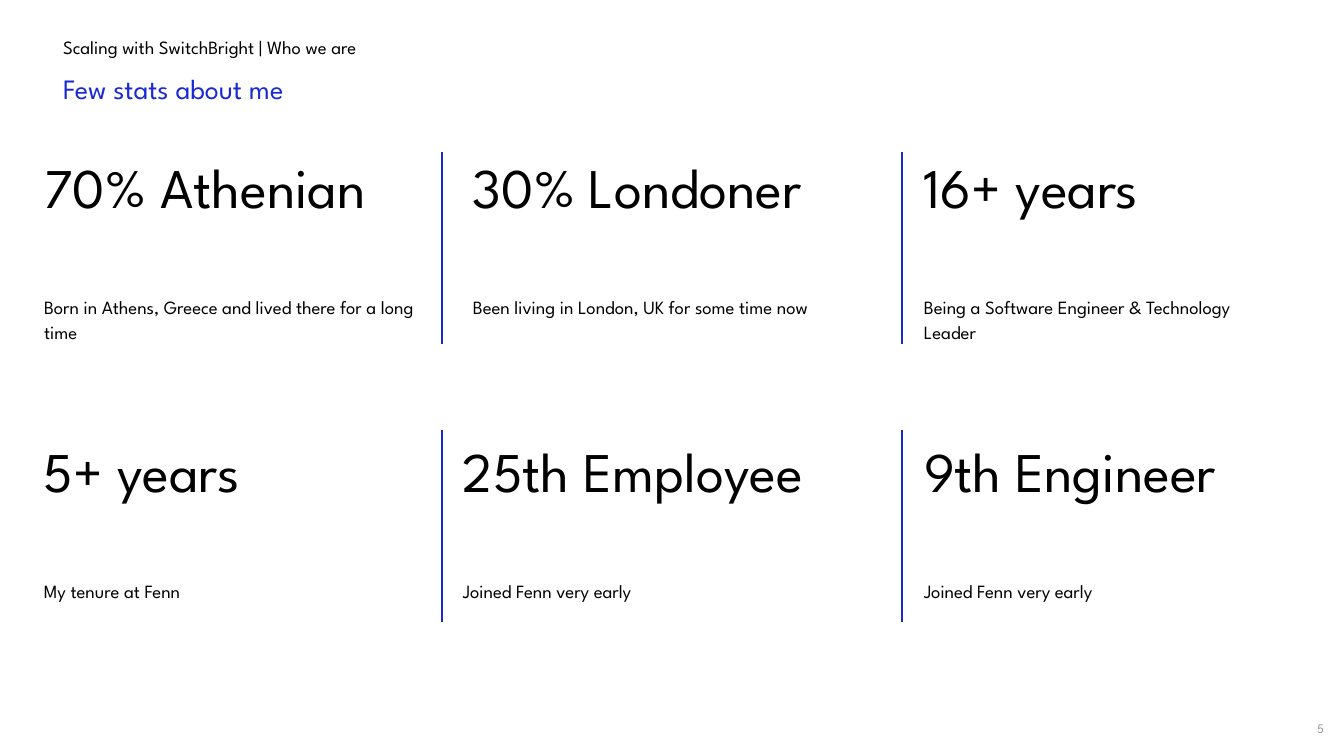
"""Build a slide of six personal stats in two rows, parted by thin rules."""
from lxml import etree
from pptx import Presentation
from pptx import util as u
from pptx.dml.color import RGBColor
from pptx.enum import shapes, text
from pptx.oxml.ns import qn

FONT = "League Spartan"
COLORS = {"ink": "000000", "accent": "1929D6", "muted": "999999", "paper": "FFFFFF"}
TITLE = "Few stats about me"
KICKER = "Scaling with SwitchBright | Who we are"
PAGE_NUMBER = "5"
ROWS = [
    {"top": 140, "rule_top": 152, "stats": [
        (31, 402, "70% Athenian", "Born in Athens, Greece and lived there for a long time"),
        (460, 423, "30% Londoner", "Been living in London, UK for some time now"),
        (911, 360, "16+ years", "Being a Software Engineer & Technology Leader"),
    ]},
    {"top": 424, "rule_top": 430, "stats": [
        (31, 345, "5+ years", "My tenure at Fenn"),
        (450, 434, "25th Employee", "Joined Fenn very early"),
        (911, 433, "9th Engineer", "Joined Fenn very early"),
    ]},
]
RULES_X = (442, 902)
RULE_HEIGHT = 192
FIGURE_HEIGHT, CAPTION_HEIGHT, CAPTION_OFFSET = 94, 70, 139
PX = 914400 / 134.4


def px(*lengths):
    return [u.Emu(round(length * PX)) for length in lengths]


def write(box, words, size, color="ink", anchor=text.MSO_ANCHOR.TOP,
          align=text.PP_ALIGN.LEFT, spacing=1.0, insets=(13, 13)):
    frame = box.text_frame
    frame.word_wrap = True
    frame.auto_size = text.MSO_AUTO_SIZE.NONE
    frame.vertical_anchor = anchor
    side, end = px(*insets)
    frame.margin_left = frame.margin_right = side
    frame.margin_top = frame.margin_bottom = end
    para = frame.paragraphs[0]
    para.alignment = align
    para.line_spacing = spacing
    span = para.add_run()
    span.text = words
    span.font.name = FONT
    span.font.size = u.Pt(size)
    span.font.color.rgb = RGBColor.from_string(COLORS[color])


def add_rule(group, x, top):
    rule = group.shapes.add_connector(
        shapes.MSO_CONNECTOR.STRAIGHT, *px(x, top, x, top + RULE_HEIGHT))
    rule.line.color.rgb = RGBColor.from_string(COLORS["accent"])
    rule.line.width = u.Pt(0.75)
    etree.SubElement(rule._element.spPr, qn("a:effectLst"))


def add_row(page, row):
    group = page.shapes.add_group_shape()
    for left, width, figure, caption in row["stats"]:
        box = group.shapes.add_textbox(*px(left, row["top"], width, FIGURE_HEIGHT))
        write(box, figure, 30)
        box = group.shapes.add_textbox(
            *px(left, row["top"] + CAPTION_OFFSET, width, CAPTION_HEIGHT))
        write(box, caption, 10, spacing=1.15)
    for x in RULES_X:
        add_rule(group, x, row["rule_top"])


def main():
    deck = Presentation()
    deck.slide_width, deck.slide_height = px(1344, 756)
    page = deck.slides.add_slide(deck.slide_layouts[5])
    page.background.fill.solid()
    page.background.fill.fore_color.rgb = RGBColor.from_string(COLORS["paper"])

    title = page.shapes.title
    title.left, title.top, title.width, title.height = px(50, 65, 695, 46)
    write(title, TITLE, 15, "accent", text.MSO_ANCHOR.MIDDLE)
    kicker = page.shapes.add_textbox(*px(50, 28, 684, 38))
    write(kicker, KICKER, 10, anchor=text.MSO_ANCHOR.MIDDLE)
    number = page.shapes.add_textbox(*px(1294, 708, 39, 40))
    write(number, PAGE_NUMBER, 7, "muted", text.MSO_ANCHOR.MIDDLE,
          text.PP_ALIGN.RIGHT, insets=(9, 5))

    for row in ROWS:
        add_row(page, row)
    deck.save("out.pptx")


if __name__ == "__main__":
    main()
